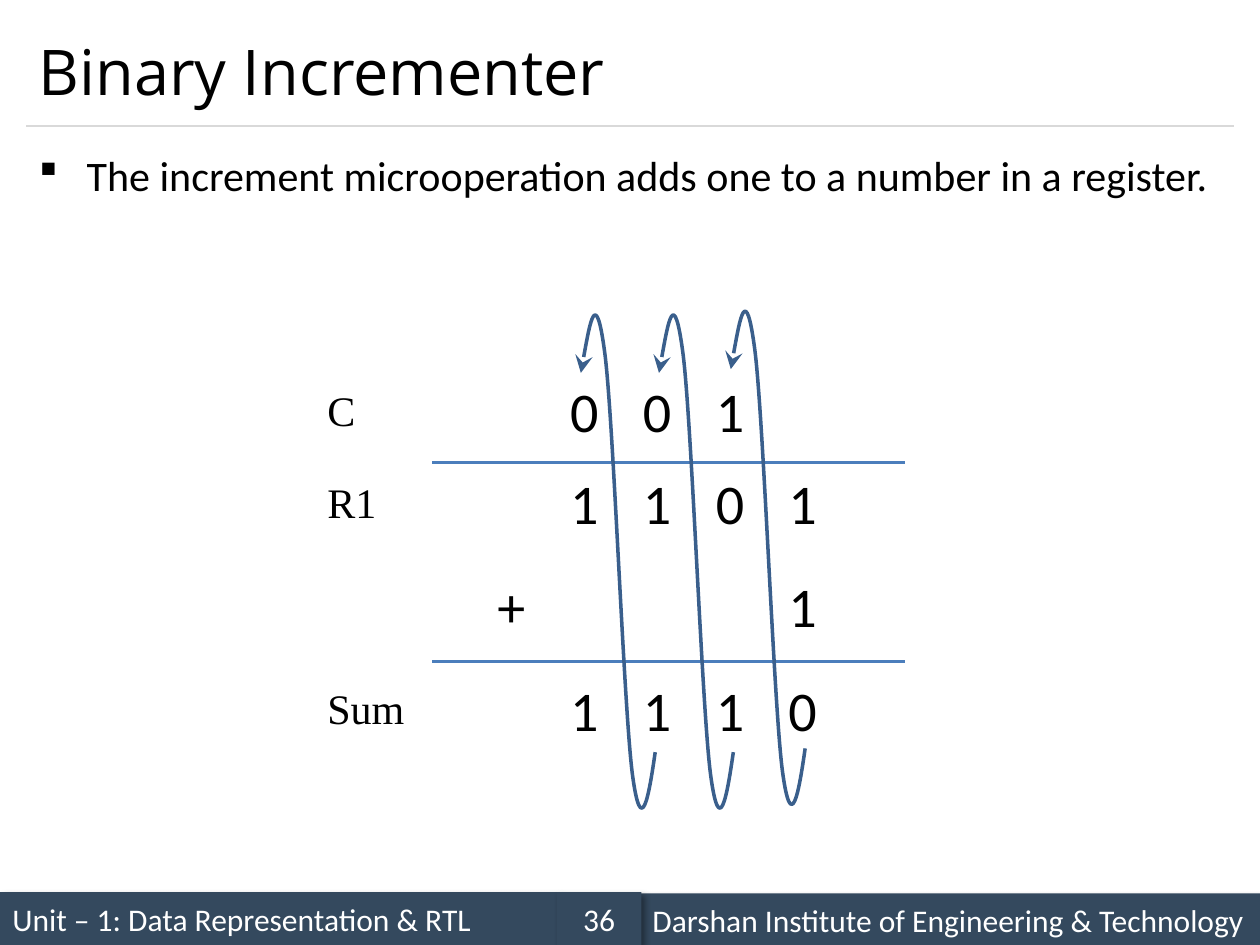
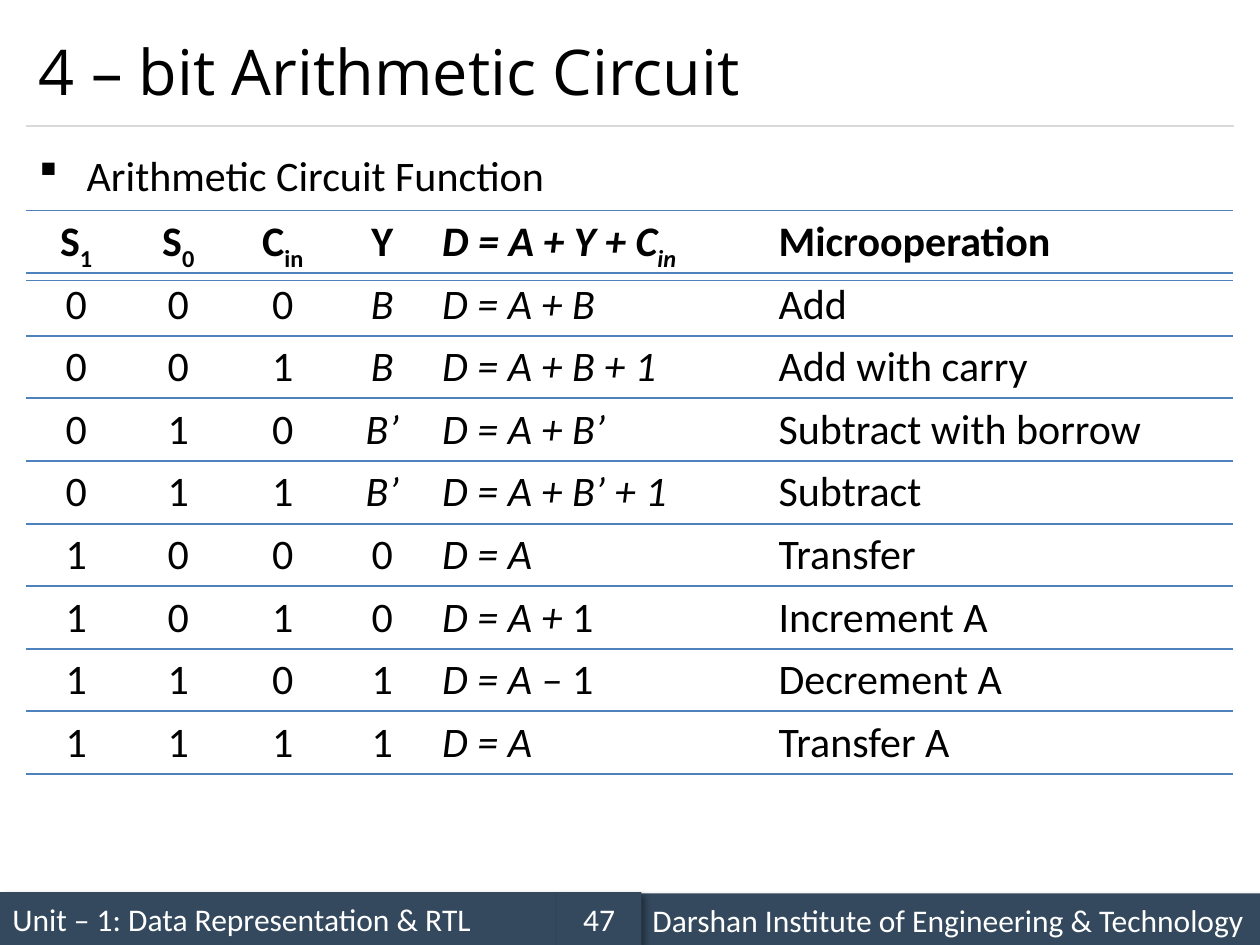
from typing import NamedTuple

from lxml import etree
from pptx import Presentation
from pptx.dml.color import RGBColor
from pptx.enum import shapes, text
from pptx.oxml.ns import qn
from pptx.util import Inches, Pt

BAND, WHITE, BLACK, RULE = "34495E", "FFFFFF", "000000", "D9D9D9"
SUM_LINE, CARRY, ROW_LINE = "4B7EBC", "3A5F8C", "4F81BD"
BODY, HEADING, LABEL = "Calibri", "Open Sans", "Times New Roman"
LEFT, RIGHT = 0.21, 9.79
WIDTH = RIGHT - LEFT
NO_STYLE = "{2D5ABB26-0587-4C30-8999-92F81FD0307C}"
PP, ANCHOR = text.PP_ALIGN, text.MSO_ANCHOR


class Box(NamedTuple):
    left: float
    top: float
    width: float
    height: float

    def emu(self):
        return [Inches(v) for v in self]


class Band(NamedTuple):
    box: Box
    align: PP = PP.LEFT
    words: str = ""


class Addition(NamedTuple):
    """One line of the sum: its label and the five signs from left to right."""
    top: float
    label: str
    label_width: float
    signs: str


BANDS = [
    Band(Box(0, 7.08, 4.42, 0.42), words="Unit – 1: Data Representation & RTL"),
    Band(Box(5.08, 7.09, 4.92, 0.42), words="Darshan Institute of Engineering & Technology"),
    Band(Box(4.42, 7.08, 0.67, 0.42), PP.CENTER),
]

ADDITION = [
    Addition(2.94, "C", 0.39, " 001 "),
    Addition(3.67, "R1", 0.6, " 1101"),
    Addition(4.49, "", 0, "+   1"),
    Addition(5.31, "Sum", 0.83, " 1110"),
]
FIRST_SIGN, LAST_SIGN = 3.85, 6.16

# Bézier points of a carry arrow, measured from its top left corner
CARRY_CURVE = [(0.59, 3.44), (0.54, 3.79), (0.48, 4.14), (0.41, 3.62), (0.34, 3.09),
               (0.26, 0.8), (0.19, 0.27), (0.12, -0.26), (0.06, 0.09), (0, 0.43)]
CARRY_WIDTH, CARRY_HEIGHT = 0.59, 3.89
CARRY_CORNERS = [(5.8, 2.5), (5.23, 2.53), (4.61, 2.53)]

# *...* is italic, and what follows _ is subscript
FUNCTIONS = [
    ("S_1", "S_0", "C_in", "Y", "*D = A + Y + C_in", "Microoperation"),
    ("0", "0", "0", "*B", "*D = A + B", "Add"),
    ("0", "0", "1", "*B", "*D = A + B + 1", "Add with carry"),
    ("0", "1", "0", "*B’", "*D = A + B’", "Subtract with borrow"),
    ("0", "1", "1", "*B’", "*D = A + B’ + 1", "Subtract"),
    ("1", "0", "0", "0", "*D = A", "Transfer"),
    ("1", "0", "1", "0", "*D = A + *1", "Increment A"),
    ("1", "1", "0", "1", "*D = A – *1", "Decrement A"),
    ("1", "1", "1", "1", "*D = A", "Transfer A"),
]
COLUMNS = [0.79, 0.83, 0.83, 0.75, 2.67, 3.71]
TABLE_TOP, TABLE_BOTTOM, ROW_HEIGHT = 1.67, 6.14, 0.41
CENTERED = 4


def rgb(color: str) -> RGBColor:
    return RGBColor.from_string(color)


def child(parent, tag: str, **attrs):
    return etree.SubElement(parent, qn(tag), attrs)


def set_font(p, size: float, name: str = BODY, color: str = BLACK, bold: bool = False):
    p.font.size, p.font.name = Pt(size), name
    p.font.color.rgb = rgb(color)
    if bold:
        p.font.bold = True


def add_text(s, box: Box, words: str, size: float, name: str = BODY, wrap: bool = True,
             anchor: ANCHOR = ANCHOR.TOP):
    tf = s.shapes.add_textbox(*box.emu()).text_frame
    tf.word_wrap, tf.vertical_anchor = wrap, anchor
    if not wrap:
        tf.auto_size = text.MSO_AUTO_SIZE.SHAPE_TO_FIT_TEXT
    p = tf.paragraphs[0]
    p.text = words
    set_font(p, size, name)


def add_line(s, x1: float, x2: float, y: float, color: str, width: float):
    c = s.shapes.add_connector(shapes.MSO_CONNECTOR.STRAIGHT,
                               Inches(x1), Inches(y), Inches(x2), Inches(y))
    c.line.color.rgb, c.line.width = rgb(color), Pt(width)
    child(c._element.spPr, "a:effectLst")


def add_band(s, band: Band, words: str):
    sp = s.shapes.add_shape(shapes.MSO_SHAPE.RECTANGLE, *band.box.emu())
    sp.fill.solid()
    sp.fill.fore_color.rgb = rgb(BAND)
    sp.line.fill.background()
    sp.shadow.inherit = False
    shadow = child(sp._element.spPr.find(qn("a:effectLst")), "a:outerShdw",
                   blurRad=str(Pt(4)), dist=str(Pt(3)), dir="2700000",
                   algn="tl", rotWithShape="0")
    child(child(shadow, "a:srgbClr", val=BLACK), "a:alpha", val="40000")
    tf = sp.text_frame
    tf.vertical_anchor = ANCHOR.MIDDLE
    p = tf.paragraphs[0]
    p.text, p.alignment = words, band.align
    set_font(p, 18, color=WHITE)


def add_bullet(s, words: str, height: float, align: PP):
    box = Box(LEFT, 1.08, WIDTH, height)
    tf = s.shapes.add_textbox(*box.emu()).text_frame
    tf.word_wrap = True
    p = tf.paragraphs[0]
    p.text, p.alignment, p.line_spacing = words, align, 1.14
    pPr = p._p.get_or_add_pPr()
    pPr.set("marL", str(Inches(0.38)))
    pPr.set("indent", str(-Inches(0.38)))
    child(pPr, "a:buFont", typeface="Wingdings", pitchFamily="2", charset="2")
    child(pPr, "a:buChar", char="§")
    set_font(p, 24)


def add_slide(prs, title: str, number: int, bullet: str, bullet_height: float, align: PP):
    s = prs.slides.add_slide(prs.slide_layouts[6])
    for band in BANDS:
        add_band(s, band, band.words or str(number))
    add_line(s, LEFT, RIGHT, 1, RULE, 0.75)
    add_text(s, Box(LEFT, 0.12, WIDTH, 0.88), title, 36, HEADING, anchor=ANCHOR.MIDDLE)
    add_bullet(s, bullet, bullet_height, align)
    return s


def add_carry(s, left: float, top: float):
    """Draw a carry arrow: a freeform of the right extent, given cubic curves."""
    builder = s.shapes.build_freeform(Inches(left), Inches(top))
    corner = Inches(left + CARRY_WIDTH), Inches(top + CARRY_HEIGHT)
    builder.add_line_segments([corner], close=False)
    sp = builder.convert_to_shape()
    outline = next(sp._element.iter(qn("a:path")))
    for step in list(outline):
        outline.remove(step)
    curves = [CARRY_CURVE[k:k + 3] for k in range(1, len(CARRY_CURVE), 3)]
    for points in [CARRY_CURVE[:1], *curves]:
        step = child(outline, "a:moveTo" if len(points) == 1 else "a:cubicBezTo")
        for x, y in points:
            child(step, "a:pt", x=str(Inches(x)), y=str(Inches(y)))
    sp.fill.background()
    sp.shadow.inherit = False
    sp.line.color.rgb, sp.line.width = rgb(CARRY), Pt(2)
    child(sp.line._get_or_add_ln(), "a:tailEnd", type="stealth", w="lg", len="lg")


def fill_cell(cell, markup: str, bold: bool, align: PP):
    p = cell.text_frame.paragraphs[0]
    p.alignment = align
    set_font(p, 24, bold=bold)
    base, _, sub = markup.partition("_")
    parts = base.split("*")
    runs = [(part, i % 2 == 1, False) for i, part in enumerate(parts)]
    runs.append((sub, len(parts) % 2 == 0, True))
    for words, italic, lowered in runs:
        if words:
            r = p.add_run()
            r.text = words
            if italic:
                r.font.italic = True
            if lowered:
                r._r.get_or_add_rPr().set("baseline", "-25000")


def set_borders(cell):
    cell.fill.background()
    tcPr = cell._tc.get_or_add_tcPr()
    for i, tag in enumerate(("a:lnT", "a:lnB")):
        ln = etree.Element(qn(tag), w=str(Pt(1)))
        child(child(ln, "a:solidFill"), "a:srgbClr", val=ROW_LINE)
        tcPr.insert(i, ln)


def add_function_row(s, index: int, cells: tuple):
    step = (TABLE_BOTTOM - TABLE_TOP) / len(FUNCTIONS)
    box = Box(LEFT, TABLE_TOP + index * step, WIDTH, ROW_HEIGHT)
    table = s.shapes.add_table(1, len(COLUMNS), *box.emu()).table
    table.first_row = table.horz_banding = False
    table._tbl.tblPr.find(qn("a:tableStyleId")).text = NO_STYLE
    for c, (width, markup) in enumerate(zip(COLUMNS, cells)):
        table.columns[c].width = Inches(width)
        cell = table.cell(0, c)
        fill_cell(cell, markup, index == 0, PP.CENTER if c < CENTERED else PP.LEFT)
        set_borders(cell)


def incrementer_slide(prs):
    s = add_slide(prs, "Binary Incrementer", 36,
                  "The increment microoperation adds one to a number in a register.",
                  1.83, PP.JUSTIFY)
    for row in ADDITION:
        step = (LAST_SIGN - FIRST_SIGN) / (len(row.signs) - 1)
        for i, sign in enumerate(row.signs):
            if sign != " ":
                box = Box(FIRST_SIGN + i * step, row.top, 0.43, 0.64)
                add_text(s, box, sign, 32, wrap=False)
        if row.label:
            box = Box(2.5, row.top + 0.06, row.label_width, 0.5)
            add_text(s, box, row.label, 24, LABEL, wrap=False)
    for y in (5.25, 3.67):
        add_line(s, 3.43, 7.18, y, SUM_LINE, 2)
    for corner in CARRY_CORNERS:
        add_carry(s, *corner)


def arithmetic_slide(prs):
    s = add_slide(prs, "4 – bit Arithmetic Circuit", 47, "Arithmetic Circuit Function",
                  0.67, PP.LEFT)
    for index, cells in enumerate(FUNCTIONS):
        add_function_row(s, index, cells)


def main():
    prs = Presentation()
    prs.slide_width, prs.slide_height = Inches(10), Inches(7.5)
    incrementer_slide(prs)
    arithmetic_slide(prs)
    prs.save("out.pptx")


if __name__ == "__main__":
    main()
